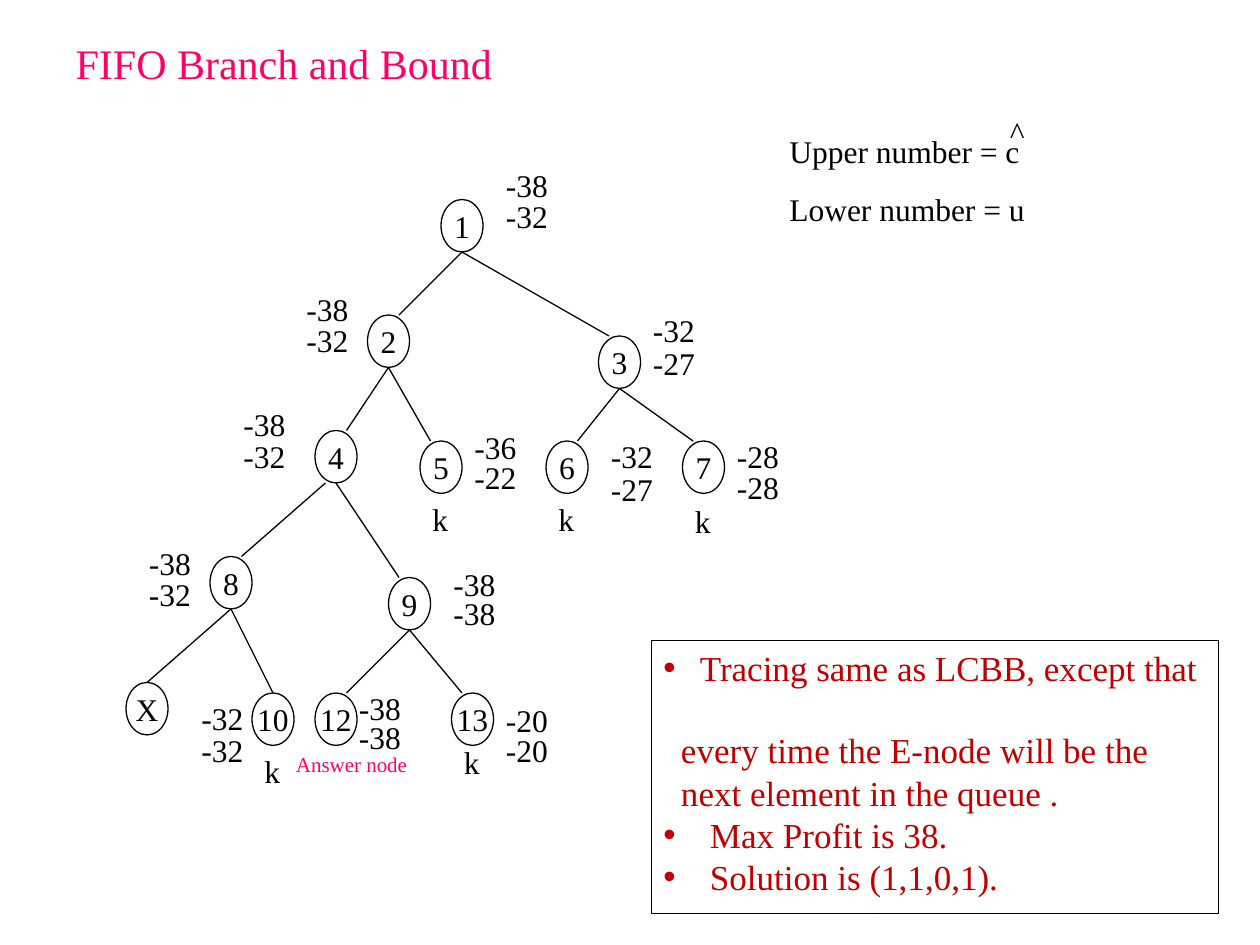
from lxml import etree
from pptx import Presentation
from pptx.dml.color import RGBColor
from pptx.enum.shapes import MSO_CONNECTOR, MSO_SHAPE
from pptx.enum.text import MSO_ANCHOR, MSO_AUTO_SIZE, PP_ALIGN
from pptx.oxml.ns import qn
from pptx.util import Inches, Pt

LINE = MSO_CONNECTOR.STRAIGHT
OVAL, RECT = MSO_SHAPE.OVAL, MSO_SHAPE.RECTANGLE
LEFT, MID = PP_ALIGN.LEFT, PP_ALIGN.CENTER
TOP, CENTRE = MSO_ANCHOR.TOP, MSO_ANCHOR.MIDDLE
FIXED = MSO_AUTO_SIZE.NONE

FONT = "Times New Roman"
BLACK, WHITE, PINK, RED = "000000", "FFFFFF", "FF0066", "C00000"
COLS, ROWS = 120, 90
WIDE, HIGH = 4, 5

TITLE = "FIFO Branch and Bound"
NODES = {
    "1": (42, 19), "2": (35, 30), "3": (57, 32), "4": (30, 41),
    "5": (40, 42), "6": (52, 42), "7": (65, 42), "8": (20, 53),
    "9": (37, 55), "X": (12, 65), "10": (24, 66), "12": (30, 66),
    "13": (43, 66),
}
EDGES = [
    ("1", "2", 2, 3), ("1", "3", 2, 1), ("2", "4", 2, 3),
    ("2", "5", 2, 1), ("3", "6", 2, 3), ("3", "7", 2, 1),
    ("4", "8", 1, 3), ("4", "9", 2, 1), ("8", "X", 2, 2),
    ("8", "10", 2, 2), ("9", "12", 2, 3), ("9", "13", 2, 1),
]
BOUNDS = [
    (47, 15.2, 3, "-38", "-32"), (28, 27, 3, "-38", "-32"),
    (61, 29, 3.2, "-32", "-27"), (22, 38, 3, "-38", "-32"),
    (44, 40.2, 2.8, "-36", "-22"), (57, 41, 3.2, "-32", "-27"),
    (69, 41, 3, "-28", "-28"), (13, 51.2, 3, "-38", "-32"),
    (42, 53.2, 2.8, "-38", "-38"), (18, 66, 3, "-32", "-32"),
    (33, 65, 2.8, "-38", "-38"), (47, 66.2, 2.8, "-20", "-20"),
]
KILLED = {"5": 5, "6": 5, "7": 5.2, "10": 5, "13": 4.2}
LEGEND = ["Upper number = c", "Lower number = u"]
NOTES = [
    ("Tracing same as LCBB, except that", 0.29, True, 23),
    ("every time the E-node will be the", 0.14, False, 0),
    ("next element in the queue .", 0.14, False, 0),
    ("Max Profit is 38.", 0.37, True, 0),
    ("Solution is (1,1,0,1).", 0.37, True, 0),
]

deck = Presentation()
deck.slide_width, deck.slide_height = Inches(10), Inches(7.5)
slide = deck.slides.add_slide(deck.slide_layouts[5])
shapes = slide.shapes


def paint(code):
    return RGBColor.from_string(code)


def grid(col, row):
    return round(col * deck.slide_width / COLS), round(row * deck.slide_height / ROWS)


def style(para, size, color, align=LEFT):
    para.alignment = align
    font = para.font
    font.name, font.size = FONT, Pt(size)
    font.color.rgb = paint(color)


def label(lines, col, row, wide, high, size=18, color=BLACK):
    box = shapes.add_textbox(*grid(col, row), *grid(wide, high))
    frame = box.text_frame
    frame.word_wrap = True
    frame.text = "\n".join(lines)
    for i, para in enumerate(frame.paragraphs):
        style(para, size, color)
        if i:
            para.space_before = Pt(11.2)


def block(kind, col, row, wide, high, weight):
    shape = shapes.add_shape(kind, *grid(col, row), *grid(wide, high))
    shape.shadow.inherit = False
    shape.fill.solid()
    shape.fill.fore_color.rgb = paint(WHITE)
    shape.line.color.rgb = paint(BLACK)
    shape.line.width = Pt(weight)
    return shape.text_frame


def bullet(props):
    tone = etree.SubElement(props, qn("a:buClr"))
    etree.SubElement(tone, qn("a:srgbClr"), val=RED)
    etree.SubElement(props, qn("a:buFont"), typeface="Arial")
    etree.SubElement(props, qn("a:buChar"), char="•")


title = shapes.title
title.left, title.top = grid(6, 3)
title.width, title.height = grid(108, 6)
frame = title.text_frame
frame.text = TITLE
frame.auto_size, frame.vertical_anchor = FIXED, TOP
style(frame.paragraphs[0], 24, PINK)

for name, (col, row) in NODES.items():
    frame = block(OVAL, col, row, WIDE, HIGH, 0.75)
    frame.word_wrap, frame.vertical_anchor = False, CENTRE
    frame.text = name
    style(frame.paragraphs[0], 18, BLACK, MID)

for head, child, start, end in EDGES:
    (x, y), (u, v) = NODES[head], NODES[child]
    edge = shapes.add_connector(LINE, *grid(x + start, y + HIGH), *grid(u + end, v))
    edge.line.color.rgb = paint(BLACK)
    edge.line.width = Pt(0.75)
    etree.SubElement(edge.element.spPr, qn("a:effectLst"))

for col, row, gap, upper, lower in BOUNDS:
    label([upper], col, row, 7, 4.8)
    label([lower], col, row + gap, 7, 4.8)

for name, drop in KILLED.items():
    col, row = NODES[name]
    label(["k"], col, row + drop, 6, 4.8)

label(LEGEND, 74, 12, 27, 10.3)
label(["^"], 95, 10.2, 5, 4.8)
label(["Answer node"], 27, 71, 15, 3.6, 12, PINK)

frame = block(RECT, 62, 61, 54, 26, 0.25)
frame.word_wrap, frame.vertical_anchor = True, TOP
frame.text = "\n".join(note[0] for note in NOTES)
for para, (text, inset, dot, after) in zip(frame.paragraphs, NOTES):
    props = para._p.get_or_add_pPr()
    props.set("marL", str(Inches(inset)))
    if dot:
        props.set("indent", str(-Inches(inset)))
        bullet(props)
    style(para, 20, RED)
    if after:
        para.space_after = Pt(after)

deck.save("out.pptx")
